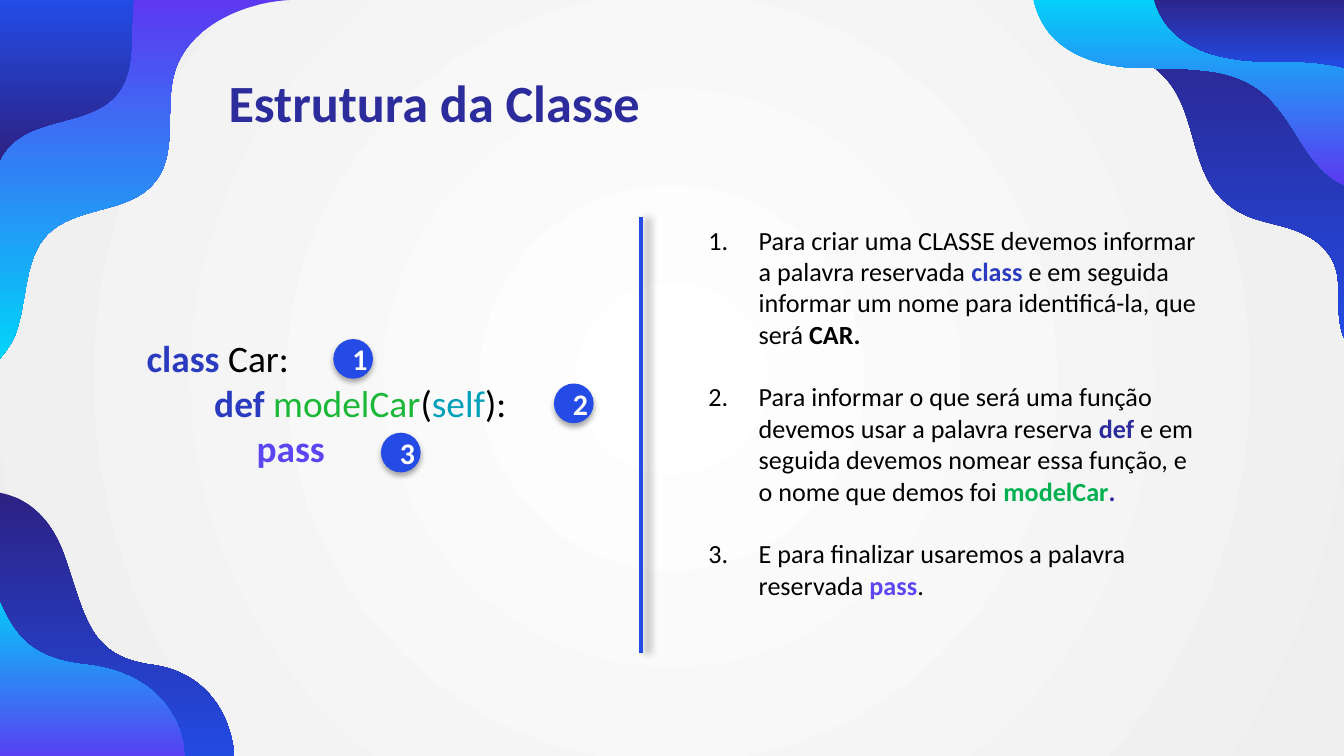
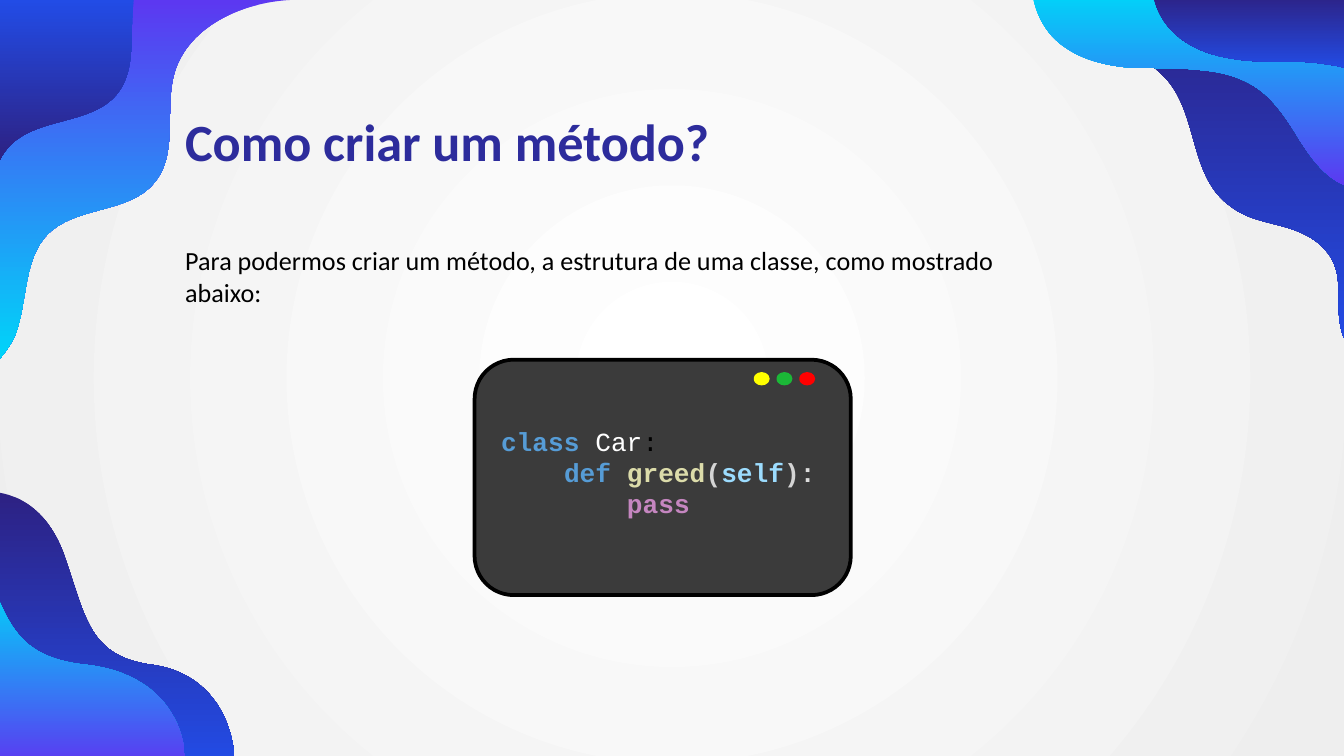
"""Build two slides on classes and methods in Python code."""
import lxml.etree
import pptx
import pptx.dml.color
import pptx.enum.shapes
import pptx.enum.text
import pptx.oxml.ns
import pptx.util

Cm = pptx.util.Cm
Pt = pptx.util.Pt
RGBColor = pptx.dml.color.RGBColor
SHAPE = pptx.enum.shapes.MSO_SHAPE
qn = pptx.oxml.ns.qn

BLACK = RGBColor(0x00, 0x00, 0x00)
WHITE = RGBColor(0xFF, 0xFF, 0xFF)
PALE = RGBColor(0xEE, 0xEE, 0xEE)
NAVY = RGBColor(0x2D, 0x21, 0x83)
BLUE = RGBColor(0x22, 0x4C, 0xE6)
CYAN = RGBColor(0x00, 0xD4, 0xF9)
PURPLE = RGBColor(0x5C, 0x38, 0xF1)
INDIGO = RGBColor(0x2D, 0x2C, 0x9C)
ROYAL = RGBColor(0x2B, 0x3B, 0xC0)
VIOLET = RGBColor(0x5C, 0x46, 0xF2)
BADGE = RGBColor(0x24, 0x4B, 0xE5)
GREEN = RGBColor(0x1B, 0xB8, 0x37)
LEAF = RGBColor(0x00, 0xB0, 0x50)
TEAL = RGBColor(0x00, 0x9F, 0xBA)
RED = RGBColor(0xFF, 0x00, 0x00)
YELLOW = RGBColor(0xFF, 0xFF, 0x00)
SLATE = RGBColor(0x3B, 0x3B, 0x3B)
SKY = RGBColor(0x56, 0x9C, 0xD6)
ICE = RGBColor(0x9C, 0xDC, 0xFE)
CREAM = RGBColor(0xDC, 0xDC, 0xAA)
GREY = RGBColor(0xD4, 0xD4, 0xD4)
SILVER = RGBColor(0xDC, 0xDC, 0xDC)
PINK = RGBColor(0xC5, 0x86, 0xC0)

SANS = "Calibri"
MONO = "Courier New"

WAVES = [
    (NAVY, BLUE, [
        (-0.13, 9.3), (-0.13, 14.45), (4.44, 14.45),
        (4.42, 13.59, 3.96, 12.73, 2.9, 12.57),
        (1.7, 12.42, 1.63, 11.71, 1.24, 10.57),
        (0.89, 9.5, 0.18, 9.32, -0.13, 9.3)]),
    (CYAN, PURPLE, [
        (-0.13, 11.07), (-0.13, 14.5), (3.5, 14.5),
        (3.53, 13.64, 3, 12.73, 1.65, 12.57),
        (0.46, 12.45, 0.2, 11.91, -0.13, 11.07)]),
    (NAVY, BLUE, [
        (25.53, -0.13), (25.53, 6.58),
        (25.48, 6.53, 25.45, 6.48, 25.43, 6.45),
        (25.3, 6.2, 25.3, 5.94, 25.3, 5.66),
        (25.3, 5.41, 25.3, 5.13, 25.17, 4.9),
        (24.99, 4.57, 24.64, 4.39, 24.28, 4.29),
        (23.93, 4.19, 23.57, 4.14, 23.27, 3.91),
        (22.43, 3.33, 22.68, 2.08, 21.95, 1.4),
        (21.41, 0.86, 20.17, 0.79, 19.84, 0)]),
    (CYAN, PURPLE, [
        (25.53, -0.13), (25.53, 3.53),
        (25.43, 3.51, 25.35, 3.48, 25.27, 3.43),
        (24.97, 3.25, 24.76, 2.95, 24.56, 2.64),
        (24.38, 2.34, 24.18, 2.03, 23.93, 1.8),
        (23.57, 1.47, 23.09, 1.35, 22.63, 1.32),
        (22.17, 1.27, 21.72, 1.3, 21.26, 1.27),
        (20.8, 1.22, 20.32, 1.09, 19.96, 0.76),
        (19.71, 0.53, 19.56, 0.2, 19.51, -0.13)]),
    (NAVY, BLUE, [
        (25.53, -0.13), (25.53, 1.32),
        (25.32, 1.24, 25.1, 1.22, 24.89, 1.19),
        (24.43, 1.14, 23.95, 1.19, 23.5, 1.14),
        (23.04, 1.09, 22.58, 0.97, 22.23, 0.66),
        (22, 0.46, 21.84, 0.18, 21.79, -0.13)]),
    (PURPLE, CYAN, [
        (0, 0), (0, 6.78),
        (0.1, 6.65, 0.2, 6.53, 0.28, 6.35),
        (0.53, 5.72, 0.43, 4.9, 0.91, 4.42),
        (1.45, 3.89, 2.44, 4.04, 2.92, 3.45),
        (3.38, 2.9, 3.1, 2.06, 3.3, 1.37),
        (3.56, 0.51, 4.55, 0.05, 5.49, 0)]),
    (BLUE, NAVY, [
        (0, 0), (0, 3.02),
        (0.05, 2.92, 0.1, 2.84, 0.2, 2.74),
        (0.74, 2.21, 1.73, 2.36, 2.21, 1.78),
        (2.59, 1.32, 2.44, 0.64, 2.53, 0)]),
]

CLASS = [
    [("class", ROYAL, True), (" Car:", BLACK, False)],
    [("def ", ROYAL, True), ("modelCar", GREEN, False), ("(", BLACK, False),
     ("self", TEAL, False), ("):", BLACK, False)],
    [("pass", VIOLET, True)],
]
STEPS = [
    [("Para criar uma CLASSE devemos informar a palavra reservada ", BLACK, False),
     ("class ", ROYAL, True),
     ("e em seguida informar um nome para identificá-la, que será ", BLACK, False),
     ("CAR.", BLACK, True)],
    [("Para informar o que será uma função devemos usar a palavra reserva ", BLACK, False),
     ("def ", INDIGO, True),
     ("e em seguida devemos nomear essa função, e o nome que demos foi ", BLACK, False),
     ("modelCar", LEAF, True), (".", INDIGO, True)],
    [("E para finalizar usaremos a palavra reservada ", BLACK, False),
     ("pass", VIOLET, True), (".", BLACK, False)],
]
MARKS = [(6.3, 6.41), (10.47, 7.25), (7.2, 8.18)]
INTRO = [[("Para podermos criar um método, a estrutura de uma classe, "
           "como mostrado abaixo:", BLACK, False)]]
METHOD = [
    [("class ", SKY, True), ("Car", WHITE, False), (":", BLACK, False)],
    [("def ", SKY, True), ("greed", CREAM, True), ("(", GREY, True),
     ("self", ICE, True), (")", GREY, True), (":", SILVER, True)],
    [("pass", PINK, True)],
]
LIGHTS = [YELLOW, GREEN, RED]


def style(run, size, color, bold, font=SANS):
    run.font.size = Pt(size)
    run.font.name = font
    run.font.bold = bold
    run.font.color.rgb = color


def shade(fill, first, last):
    fill.gradient()
    for stop, color in zip(fill.gradient_stops, (first, last)):
        stop.color.rgb = color
    fill.gradient_angle = 270


def add_wave(shapes, nodes):
    points = [(Cm(node[at]), Cm(node[at + 1]))
              for node in nodes for at in range(0, len(node), 2)]
    pen = shapes.build_freeform(*points[0])
    pen.add_line_segments(points[1:], close=True)
    wave = pen.convert_to_shape()
    legs = iter(wave.element.findall(".//" + qn("a:lnTo")))
    for node in nodes[1:]:
        leg = next(legs)
        if len(node) == 6:
            leg.tag = qn("a:cubicBezTo")
            for _ in range(2):
                spare = next(legs)
                leg.append(spare[0])
                spare.getparent().remove(spare)
    wave.shadow.inherit = False
    wave.line.fill.background()
    return wave


def dress(layout, slide):
    for holder in list(layout.placeholders):
        layout.shapes.element.remove(holder.element)
    shade(layout.background.fill, WHITE, PALE)
    blend = layout.element.find(".//" + qn("a:gradFill"))
    blend.remove(blend.find(qn("a:lin")))
    glow = lxml.etree.SubElement(blend, qn("a:path"), path="circle")
    lxml.etree.SubElement(glow, qn("a:fillToRect"), dict.fromkeys("ltrb", "50000"))
    for first, last, nodes in WAVES:
        wave = add_wave(slide.shapes, nodes)
        shade(wave.fill, first, last)
        layout.shapes.element.append(wave.element)


def add_text(shapes, box, lines, size, font=SANS, indents=(), gap=0, listed=False):
    frame = shapes.add_textbox(*map(Cm, box)).text_frame
    frame.word_wrap = True
    for index, line in enumerate(lines):
        para = frame.add_paragraph() if index else frame.paragraphs[0]
        if index and gap:
            para.space_before = Pt(gap)
        for text, color, bold in line:
            run = para.add_run()
            run.text = text
            style(run, size, color, bold, font)
        props = para._p.get_or_add_pPr()
        if indents:
            props.set("marL", str(Cm(indents[index])))
        if listed:
            props.set("indent", str(-Cm(indents[index])))
            lxml.etree.SubElement(props, qn("a:buFont"), typeface="+mj-lt")
            lxml.etree.SubElement(props, qn("a:buAutoNum"), type="arabicPeriod")
    return frame


def add_title(slide, text, left, top, width):
    frame = add_text(slide.shapes, (left, top, width, 1.24), [[(text, INDIGO, True)]], 28)
    frame.margin_top = frame.margin_bottom = Cm(0.25)


def add_form(shapes, kind, box, color, edge=None):
    form = shapes.add_shape(kind, *map(Cm, box))
    form.shadow.inherit = False
    form.fill.solid()
    form.fill.fore_color.rgb = color
    if edge is None:
        form.line.fill.background()
    else:
        form.line.color.rgb = edge
        form.line.width = Pt(2)
    return form


def cast(form, blur, drop, angle, depth):
    props = form.element.spPr
    effects = props.find(qn("a:effectLst"))
    if effects is None:
        effects = lxml.etree.SubElement(props, qn("a:effectLst"))
    shadow = lxml.etree.SubElement(
        effects, qn("a:outerShdw"), blurRad=str(Pt(blur)), dist=str(Pt(drop)),
        dir=str(angle * 60000), algn="tl", rotWithShape="0")
    tint = lxml.etree.SubElement(shadow, qn("a:srgbClr"), val=str(BLACK))
    lxml.etree.SubElement(tint, qn("a:alpha"), val=str(depth * 1000))


def fill_class(slide):
    add_title(slide, "Estrutura da Classe", 4.07, 1.07, 10.13)
    add_text(slide.shapes, (2.52, 6.22, 8.2, 2.82), CLASS, 20, indents=(0, 1.28, 2.08))
    for number, (left, top) in enumerate(MARKS, 1):
        badge = add_form(slide.shapes, SHAPE.OVAL, (left, top, 0.75, 0.75), BADGE)
        cast(badge, 3.1, 1.8, 90, 35)
        badge.text_frame.text = str(number)
        para = badge.text_frame.paragraphs[0]
        para.alignment = pptx.enum.text.PP_ALIGN.CENTER
        style(para.runs[0], 16, WHITE, True)
    add_text(slide.shapes, (13.14, 4.11, 9.75, 8.03), STEPS, 14,
             indents=[0.95] * len(STEPS), gap=16.8, listed=True)
    rule = slide.shapes.add_connector(
        pptx.enum.shapes.MSO_CONNECTOR.STRAIGHT, Cm(12.12), Cm(4.11), Cm(12.12), Cm(12.34))
    rule.line.color.rgb = BLUE
    rule.line.width = Pt(2)
    cast(rule, 4, 3, 0, 40)


def fill_method(slide):
    add_title(slide, "Como criar um método?", 3.25, 1.82, 11.81)
    add_text(slide.shapes, (3.25, 4.5, 17.2, 1.45), INTRO, 14)
    window = slide.shapes.add_group_shape().shapes
    add_form(window, SHAPE.ROUNDED_RECTANGLE, (8.97, 6.8, 7.11, 4.45), SLATE, BLACK)
    for index, color in enumerate(LIGHTS):
        add_form(window, SHAPE.OVAL, (14.28 + 0.43 * index, 7.07, 0.23, 0.18), color, color)
    add_text(window, (9.22, 7.91, 6.6, 2.06), METHOD, 14, MONO, indents=(0, 1.19, 2.38))


def main():
    deck = pptx.Presentation()
    deck.slide_width, deck.slide_height = Cm(25.4), Cm(14.29)
    layout = deck.slide_layouts[6]
    first, second = (deck.slides.add_slide(layout) for _ in range(2))
    dress(layout, first)
    fill_class(first)
    fill_method(second)
    deck.save("out.pptx")


if __name__ == "__main__":
    main()
